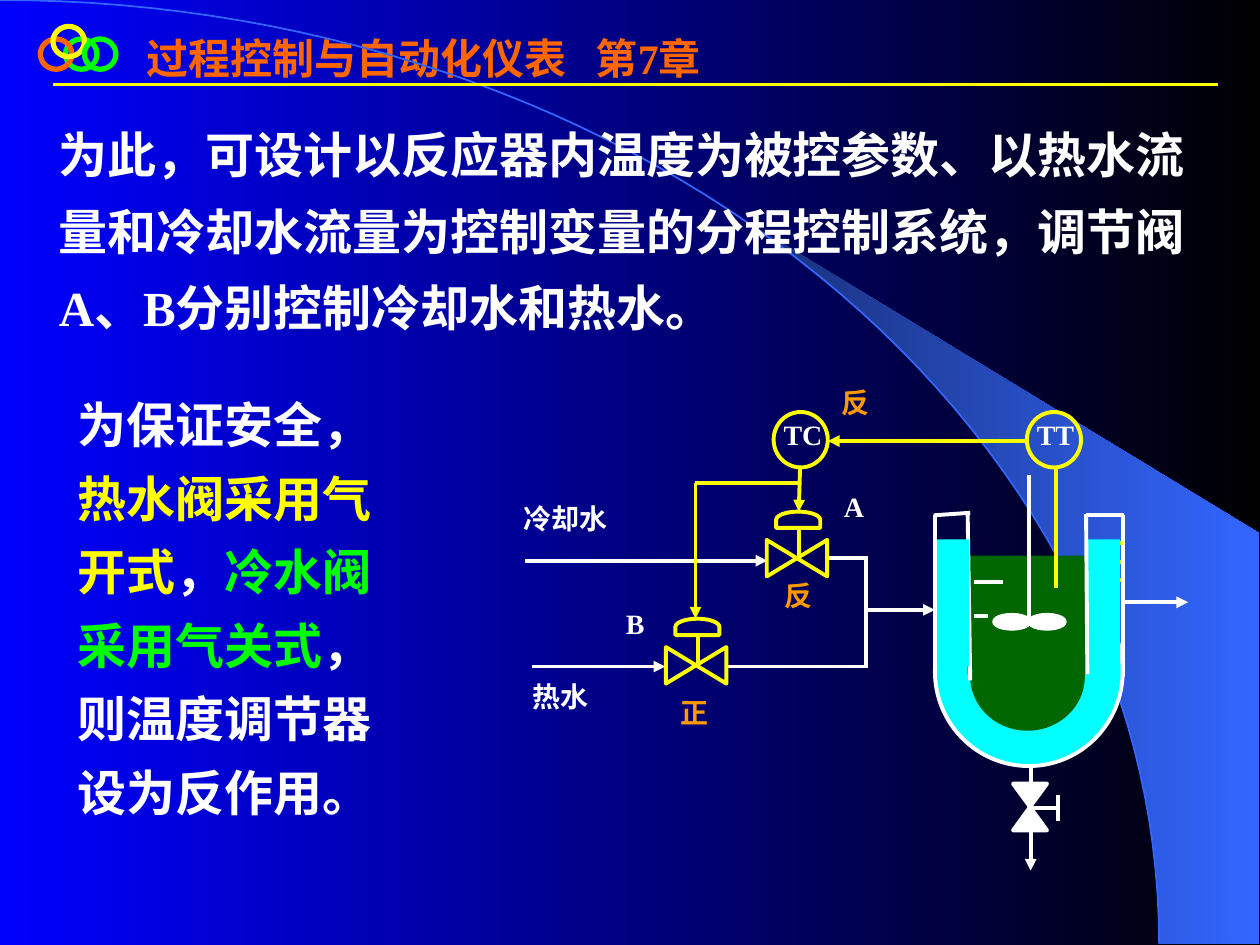
"""Builds the split-range reactor temperature control slide."""
import math

import lxml.etree
import pptx
import pptx.dml.color
import pptx.enum.shapes
import pptx.enum.text
import pptx.oxml.ns
import pptx.util

MSO = pptx.enum.shapes.MSO_SHAPE
ANCHOR = pptx.enum.text.MSO_ANCHOR
WHITE, YELLOW, GREEN, ORANGE = "FFFFFF", "FFFF00", "00FF00", "FF9900"
CYAN, LIQUID, SKY = "00FFFF", "006600", "3366FF"
SERIF, SANS = "Times New Roman", "Noto Sans CJK SC"
WIDTH, HEIGHT = 10, 7.5

TITLE = "过程控制与自动化仪表\t第7章"
TITLE_TAB = 3.57
RINGS = [(0.52, 0.31, GREEN), (0.32, 0.31, "FF6600"), (0.42, 0.21, YELLOW), (0.67, 0.31, GREEN)]
BODIES = [
    ((0.37, 0.8, 9.4, 1.92), 1.3, [
        ("为此，可设计以反应器内温度为被控参数、以热水流量和冷却水流量为控制变量的分程控制系统，调节阀", WHITE, SANS),
        ("A、B", WHITE, SERIF),
        ("分别控制冷却水和热水。", WHITE, SANS)]),
    ((0.52, 2.67, 2.9, 4.19), 1.25, [
        ("为保证安全，", WHITE, SERIF),
        ("热水阀采用气开式", YELLOW, SERIF),
        ("，", WHITE, SERIF),
        ("冷水阀采用气关式", GREEN, SERIF),
        ("，则温度调节器设为反作用。", WHITE, SERIF)]),
]
VESSEL = [
    (MSO.OVAL, (7.42, 4.58, 1.49, 1.5), CYAN, WHITE),
    (MSO.OVAL, (7.7, 4.94, 0.91, 0.86), LIQUID, None),
    (MSO.RECTANGLE, (7.68, 4.41, 0.94, 0.94), LIQUID, None),
]
BACK_LINES = [
    (7.68, 4.08, 7.7, 5.4, WHITE),
    (8.91, 4.09, 8.91, 5.37, WHITE),
    (7.41, 4.09, 7.7, 4.07, WHITE),
    (8.62, 4.09, 8.92, 4.09, WHITE),
    (8.17, 3.77, 8.17, 4.94, WHITE),
    (7.73, 4.62, 7.96, 4.62, WHITE),
    (7.73, 4.89, 7.84, 4.89, WHITE),
    (8.67, 4.31, 8.91, 4.31, YELLOW),
    (8.74, 4.46, 8.9, 4.46, YELLOW),
    (8.85, 4.6, 8.9, 4.6, YELLOW),
]
FITTINGS = [
    (MSO.RECTANGLE, (7.42, 4.28, 0.27, 1.01), CYAN, None),
    (MSO.RECTANGLE, (8.62, 4.28, 0.27, 1.01), CYAN, None),
    (MSO.OVAL, (7.89, 4.88, 0.28, 0.11), WHITE, WHITE),
    (MSO.OVAL, (8.17, 4.88, 0.28, 0.11), WHITE, WHITE),
    (MSO.FLOWCHART_COLLATE, (8.04, 6.22, 0.27, 0.37), WHITE, WHITE),
    (MSO.OVAL, (6.14, 3.27, 0.43, 0.44), None, YELLOW),
    (MSO.OVAL, (8.15, 3.27, 0.43, 0.44), None, YELLOW),
]
FRONT_LINES = [
    (7.42, 4.09, 7.42, 5.37, WHITE),
    (8.62, 4.08, 8.63, 5.35, WHITE),
    (8.18, 6.41, 8.4, 6.41, WHITE),
    (8.4, 6.31, 8.4, 6.52, WHITE),
    (6.87, 4.41, 6.87, 5.3, WHITE),
    (5.76, 5.29, 6.88, 5.29, WHITE),
    (6.55, 4.43, 6.88, 4.43, WHITE),
    (8.38, 3.72, 8.38, 4.67, YELLOW),
    (5.52, 3.83, 6.33, 3.83, YELLOW),
]
ARROWS = [
    (8.18, 6.08, 8.18, 6.91, WHITE),
    (6.87, 4.84, 7.42, 4.84, WHITE),
    (8.9, 4.78, 9.43, 4.78, WHITE),
    (4.17, 4.45, 6.09, 4.45, WHITE),
    (4.22, 5.29, 5.28, 5.29, WHITE),
    (6.35, 3.71, 6.34, 4.06, YELLOW),
    (8.14, 3.5, 6.57, 3.5, YELLOW),
    (5.52, 3.83, 5.52, 4.91, YELLOW),
]
VALVES = [(0, 0), (-0.8, 0.85)]
LABELS = [
    ("TT", 8.13, 3.21, WHITE), ("TC", 6.12, 3.21, WHITE),
    ("热水", 4.13, 5.29, WHITE), ("冷却水", 4.06, 3.88, WHITE),
    ("B", 4.87, 4.71, WHITE), ("A", 6.6, 3.78, WHITE),
    ("反", 6.58, 2.96, ORANGE), ("反", 6.13, 4.49, ORANGE), ("正", 5.3, 5.42, ORANGE),
]


def emu(*inches):
    return [pptx.util.Cm(v * 2.54) for v in inches]


def rgb(value):
    return pptx.dml.color.RGBColor.from_string(value)


def sub(parent, tag, **attrs):
    return lxml.etree.SubElement(parent, pptx.oxml.ns.qn(tag), **attrs)


def gradient(fill, start, end):
    fill.gradient()
    fill.gradient_angle = 0
    for stop, color in zip(fill.gradient_stops, (start, end)):
        stop.color.rgb = rgb(color)


def paint(sp, fill, line, width=2.25):
    sp.shadow.inherit = False
    if fill:
        sp.fill.solid()
        sp.fill.fore_color.rgb = rgb(fill)
    else:
        sp.fill.background()
    if line:
        sp.line.color.rgb = rgb(line)
        sp.line.width = pptx.util.Pt(width)
    else:
        sp.line.fill.background()


def add_shape(s, kind, box, fill, line, width=2.25, rotation=0):
    sp = s.shapes.add_shape(kind, *emu(*box))
    sp.rotation = rotation
    paint(sp, fill, line, width)


def add_line(s, x1, y1, x2, y2, color, arrow=False, width=2.25):
    cx = s.shapes.add_connector(pptx.enum.shapes.MSO_CONNECTOR.STRAIGHT, *emu(x1, y1, x2, y2))
    cx.line.color.rgb = rgb(color)
    cx.line.width = pptx.util.Pt(width)
    if arrow:
        sub(cx.line._get_or_add_ln(), "a:tailEnd", type="triangle")
    sub(cx._element.spPr, "a:effectLst")


def add_outline(s, points, close):
    corners = [emu(*point) for point in points]
    builder = s.shapes.build_freeform(*corners[0])
    builder.add_line_segments(corners[1:], close=close)
    return builder.convert_to_shape()


def arc(start):
    angles = [start + (math.pi / 2 - start) * i / 60 for i in range(61)]
    return [(9.2 * math.sin(a), 7.49 * (1 - math.cos(a))) for a in angles]


def set_font(font, size, color, name=SERIF):
    font.size = pptx.util.Pt(size)
    font.bold = True
    font.name = name
    font.color.rgb = rgb(color)


def add_text(s, box, spacing, anchor):
    tf = s.shapes.add_textbox(*emu(*box)).text_frame
    tf.word_wrap = True
    tf.vertical_anchor = anchor
    p = tf.paragraphs[0]
    p.line_spacing = spacing
    return p


def add_title(s):
    sp = s.shapes.title
    sp.left, sp.top, sp.width, sp.height = emu(1.06, 0.21, 8.42, 0.5)
    tf = sp.text_frame
    tf.auto_size = pptx.enum.text.MSO_AUTO_SIZE.NONE
    tf.vertical_anchor = ANCHOR.TOP
    p = tf.paragraphs[0]
    p.text = TITLE
    p.alignment = pptx.enum.text.PP_ALIGN.LEFT
    tabs = sub(p._p.get_or_add_pPr(), "a:tabLst")
    sub(tabs, "a:tab", pos=str(emu(TITLE_TAB)[0]), algn="l")
    set_font(p.font, 24, "FF6600")


def main():
    prs = pptx.Presentation()
    prs.slide_width, prs.slide_height = emu(WIDTH, HEIGHT)
    s = prs.slides.add_slide(prs.slide_layouts[5])
    gradient(s.background.fill, "0000FF", "000000")

    beam = add_outline(s, arc(math.asin(0.64)) + [(9.99, 7.49), (9.99, 4.23)], True)
    paint(beam, None, None)
    gradient(beam.fill, "182F76", SKY)
    paint(add_outline(s, arc(0), False), None, SKY, 1)

    add_title(s)
    add_line(s, 0.42, 0.67, 9.67, 0.67, YELLOW, width=1.5)
    for x, y, color in RINGS:
        add_shape(s, MSO.OVAL, (x, y, 0.25, 0.24), None, color, 3)

    for box, spacing, runs in BODIES:
        p = add_text(s, box, spacing, ANCHOR.MIDDLE)
        for text, color, name in runs:
            r = p.add_run()
            r.text = text
            set_font(r.font, 28, color, name)

    for part in VESSEL:
        add_shape(s, *part)
    for line in BACK_LINES:
        add_line(s, *line)
    for part in FITTINGS:
        add_shape(s, *part)
    for line in FRONT_LINES:
        add_line(s, *line)
    for line in ARROWS:
        add_line(s, *line, arrow=True)
    for dx, dy in VALVES:
        add_shape(s, MSO.FLOWCHART_COLLATE, (6.18 + dx, 4.19 + dy, 0.29, 0.48), None, YELLOW, rotation=270)
        add_shape(s, MSO.FLOWCHART_DELAY, (6.27 + dx, 3.95 + dy, 0.13, 0.35), None, YELLOW, rotation=270)
        add_line(s, 6.34 + dx, 4.2 + dy, 6.34 + dx, 4.43 + dy, YELLOW)
    for text, x, y, color in LABELS:
        p = add_text(s, (x, y, 0.22 + 0.25 * len(text), 0.42), 1.2, ANCHOR.TOP)
        p.text = text
        set_font(p.font, 16, color)

    prs.save("out.pptx")


if __name__ == "__main__":
    main()
